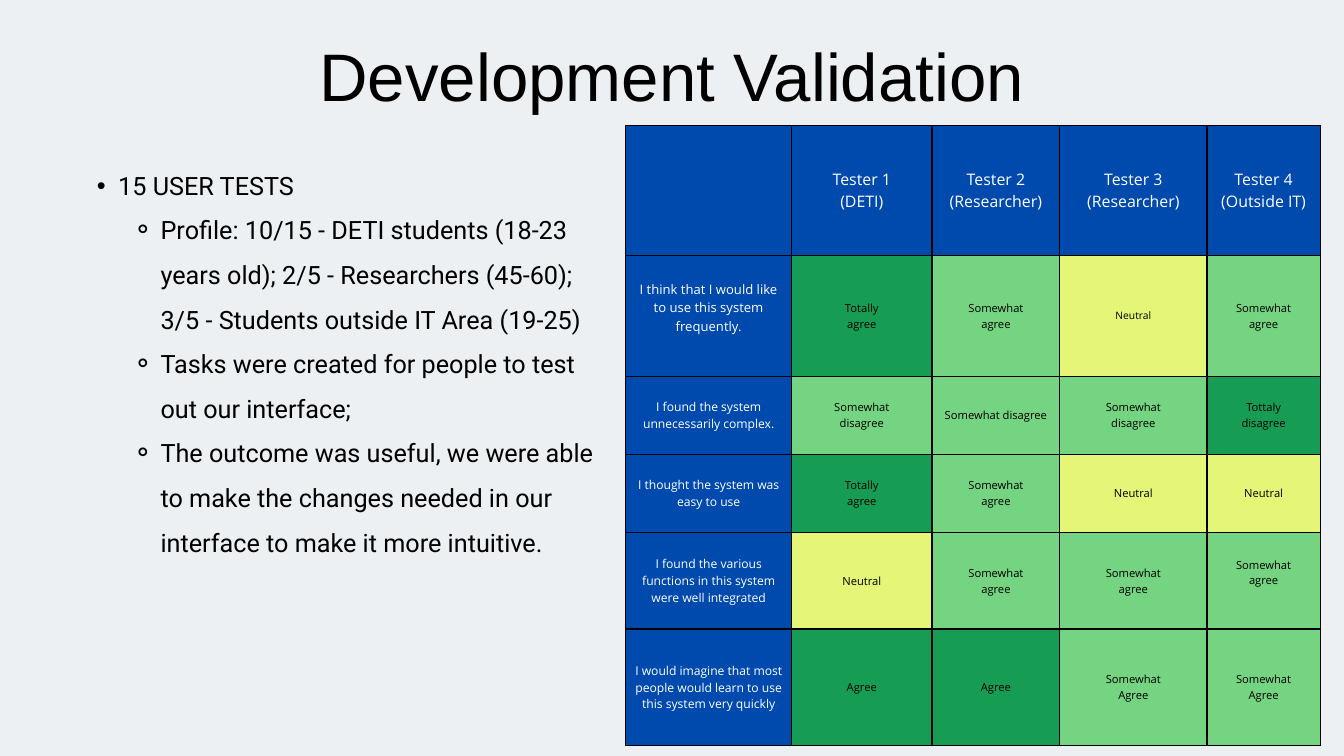
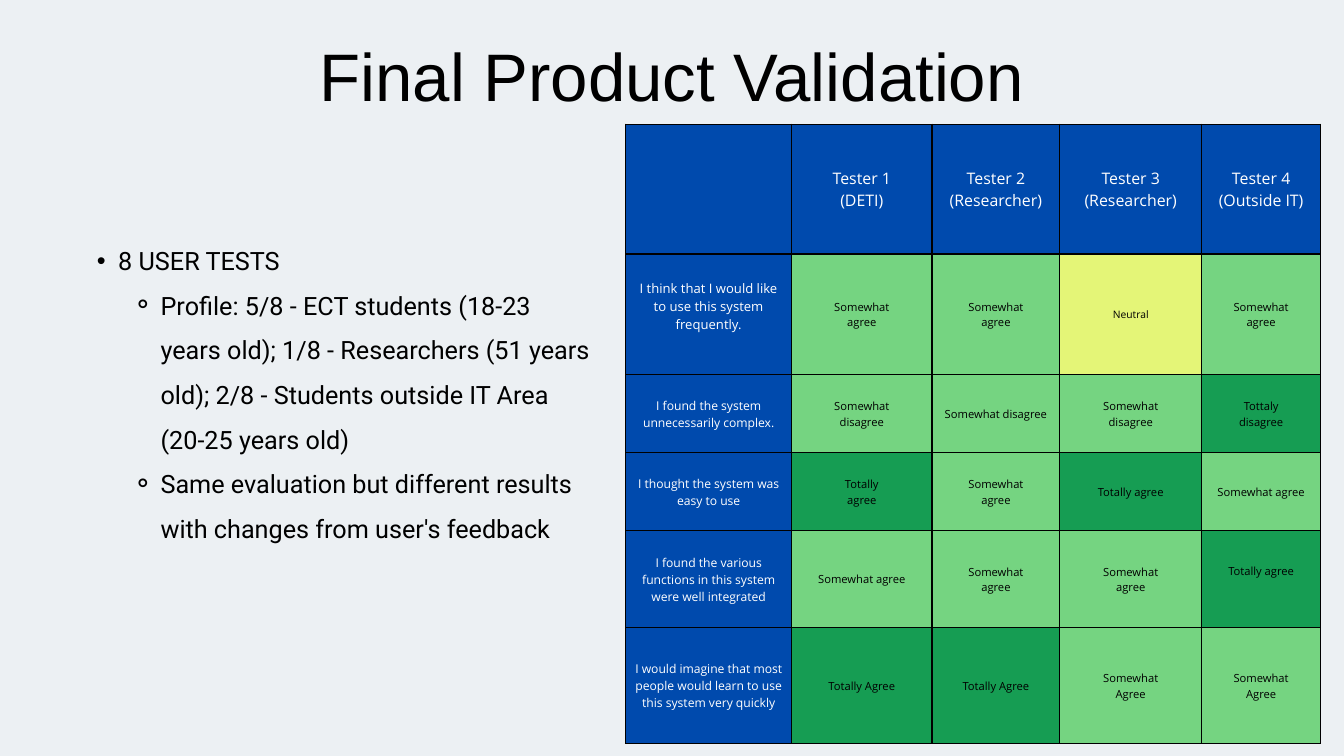
from dataclasses import dataclass

from lxml.etree import SubElement
from pptx import Presentation
from pptx.dml.color import RGBColor
from pptx.enum.text import MSO_ANCHOR, MSO_AUTO_SIZE, PP_ALIGN
from pptx.oxml.ns import qn
from pptx.util import Cm, Pt

# Shared colours
PAPER = RGBColor(0xEC, 0xF0, 0xF3)
BLACK = RGBColor(0, 0, 0)
WHITE = RGBColor(0xFF, 0xFF, 0xFF)
BLUE = RGBColor(0x00, 0x4A, 0xAD)
STRONG_GREEN = RGBColor(0x16, 0x9D, 0x53)
SOFT_GREEN = RGBColor(0x75, 0xD4, 0x81)
YELLOW = RGBColor(0xE4, 0xF5, 0x77)
ANSWER_FILLS = {"Somewhat": SOFT_GREEN, "Neutral": YELLOW}

# Shared table layout and headings
ROW_HEIGHTS = (4.9, 4.57, 2.95, 2.95, 3.66, 4.39)
FIRST_COLUMNS = (6.27, 5.31, 4.83)
CELL_MARGIN = 0.3
RAISED_MARGIN = 0.91
RAISED_CELLS = {(1, 0), (4, 4)}
TABLE_LEADING = 1.4
TESTERS = (
    "",
    "Tester 1\n(DETI)",
    "Tester 2\n(Researcher)",
    "Tester 3\n(Researcher)",
    "Tester 4\n(Outside IT)",
)
QUESTIONS = (
    "I think that I would like to use this system frequently.",
    "I found the system unnecessarily complex.",
    "I thought the system was easy to use",
    "I found the various functions in this system were well integrated",
    "I would imagine that most people would learn to use this system very quickly",
)

# Answers that recur
SOMEWHAT_AGREE = "Somewhat\nagree"
SOMEWHAT_AGREE_CAPITAL = "Somewhat\nAgree"
SOMEWHAT_DISAGREE = "Somewhat\ndisagree"
TOTALLY_AGREE = "Totally\nagree"
COMPLEXITY_ANSWERS = (SOMEWHAT_DISAGREE, "Somewhat disagree", SOMEWHAT_DISAGREE,
                      "Tottaly\ndisagree")


@dataclass(frozen=True)
class TextStyle:
    font: str
    size: float
    color: RGBColor
    leading: float


@dataclass(frozen=True)
class Bullet:
    mark: str
    indent: float
    hanging: float


@dataclass(frozen=True)
class Validation:
    title: str
    tests: str
    findings: tuple[str, ...]
    list_top: float
    list_height: float
    table_top: float
    last_columns: tuple[float, float]
    answers: tuple[tuple[str, ...], ...]


TITLE_STYLE = TextStyle("Arial", 72, BLACK, 84.2)
LIST_STYLE = TextStyle("Roboto", 27, BLACK, 47.8)
BULLETS = {1: Bullet("•", 1.63, 0.81), 2: Bullet("⚬", 3.23, 1.07)}

VALIDATIONS = (
    Validation(
        "Development Validation",
        "15 USER TESTS",
        (
            "Profile: 10/15 - DETI students (18-23 years old); 2/5 - Researchers (45-60); "
            "3/5 - Students outside IT Area (19-25)",
            "Tasks were created for people to test out our interface;",
            "The outcome was useful, we were able to make the changes needed in our "
            "interface to make it more intuitive.",
        ),
        5.89, 19.89, 4.75, (5.56, 4.29),
        (
            (TOTALLY_AGREE, SOMEWHAT_AGREE, "Neutral", SOMEWHAT_AGREE),
            COMPLEXITY_ANSWERS,
            (TOTALLY_AGREE, SOMEWHAT_AGREE, "Neutral", "Neutral"),
            ("Neutral",) + (SOMEWHAT_AGREE,) * 3,
            ("Agree",) * 2 + (SOMEWHAT_AGREE_CAPITAL,) * 2,
        ),
    ),
    Validation(
        "Final Product Validation",
        "8 USER TESTS",
        (
            "Profile: 5/8 - ECT students (18-23 years old); 1/8 - Researchers (51 years old); "
            "2/8 - Students outside IT Area (20-25 years old)",
            "Same evaluation but different results with changes from user's feedback",
        ),
        8.74, 14.88, 4.7, (5.36, 4.5),
        (
            (SOMEWHAT_AGREE, SOMEWHAT_AGREE, "Neutral", SOMEWHAT_AGREE),
            COMPLEXITY_ANSWERS,
            (TOTALLY_AGREE, SOMEWHAT_AGREE, "Totally agree", "Somewhat agree"),
            ("Somewhat agree", SOMEWHAT_AGREE, SOMEWHAT_AGREE, "Totally agree"),
            ("Totally Agree",) * 2 + (SOMEWHAT_AGREE_CAPITAL,) * 2,
        ),
    ),
)


def set_attributes(target, values: dict) -> None:
    for name, value in values.items():
        setattr(target, name, value)


def write(para, text: str, style: TextStyle) -> None:
    para.line_spacing = Pt(style.leading)
    span = para.add_run()
    span.text = text
    set_attributes(span.font, {"name": style.font, "size": Pt(style.size), "bold": False})
    span.font.color.rgb = style.color


def add_box(page, left: float, top: float, width: float, height: float):
    box = page.shapes.add_textbox(Cm(left), Cm(top), Cm(width), Cm(height))
    margins = {f"margin_{side}": 0 for side in ("left", "top", "right", "bottom")}
    set_attributes(box.text_frame, margins | {
        "word_wrap": True, "auto_size": MSO_AUTO_SIZE.SHAPE_TO_FIT_TEXT})
    return box.text_frame


def add_title(page, title: str) -> None:
    para = add_box(page, 9.47, 1.37, 31.85, 2.97).paragraphs[0]
    para.alignment = PP_ALIGN.CENTER
    write(para, title, TITLE_STYLE)


def add_bullet(para, level: int) -> None:
    bullet = BULLETS[level]
    para.level = level
    properties = para._p.get_or_add_pPr()
    properties.set("marL", str(Cm(bullet.indent)))
    properties.set("indent", str(-Cm(bullet.hanging)))
    SubElement(properties, qn("a:buFont"), typeface="Arial")
    SubElement(properties, qn("a:buChar"), char=bullet.mark)


def add_findings(page, validation: Validation) -> None:
    frame = add_box(page, 2.84, validation.list_top, 19.61, validation.list_height)
    for index, text in enumerate((validation.tests, *validation.findings)):
        para = frame.add_paragraph() if index else frame.paragraphs[0]
        add_bullet(para, 2 if index else 1)
        write(para, text, LIST_STYLE)


def add_borders(cell) -> None:
    properties = cell._tc.get_or_add_tcPr()
    for side in ("lnL", "lnR", "lnT", "lnB"):
        line = SubElement(properties, qn(f"a:{side}"), w=str(Pt(1.5)))
        fill = SubElement(line, qn("a:solidFill"))
        SubElement(fill, qn("a:srgbClr"), val=str(BLACK))


def cell_format(row: int, column: int, text: str) -> tuple[RGBColor, RGBColor, float]:
    """Return the fill, text colour and text size of a table cell."""
    if row == 0:
        return BLUE, WHITE, 17
    if column == 0:
        return BLUE, WHITE, 14 if row == 1 else 13
    fill = ANSWER_FILLS.get(text.split()[0], STRONG_GREEN)
    return fill, BLACK, 11 if row == 1 and text == "Neutral" else 12


def fill_cell(cell, row: int, column: int, text: str) -> None:
    fill, color, size = cell_format(row, column, text)
    bottom = RAISED_MARGIN if (row, column) in RAISED_CELLS else CELL_MARGIN
    margins = {f"margin_{side}": Cm(CELL_MARGIN) for side in ("left", "top", "right")}
    set_attributes(cell, margins | {
        "margin_bottom": Cm(bottom), "vertical_anchor": MSO_ANCHOR.MIDDLE})
    add_borders(cell)
    cell.fill.solid()
    cell.fill.fore_color.rgb = fill
    style = TextStyle("Open Sans", size, color, round(size * TABLE_LEADING, 1))
    for index, line in enumerate(text.splitlines()):
        para = cell.text_frame.add_paragraph() if index else cell.text_frame.paragraphs[0]
        para.alignment = PP_ALIGN.CENTER
        write(para, line, style)


def add_answers(page, validation: Validation) -> None:
    widths = FIRST_COLUMNS + validation.last_columns
    frame = page.shapes.add_table(
        len(ROW_HEIGHTS), len(widths), Cm(23.65), Cm(validation.table_top),
        Cm(sum(widths)), Cm(sum(ROW_HEIGHTS)))
    table = frame.table
    set_attributes(table, {"first_row": False, "horz_banding": False})
    for column, width in zip(table.columns, widths):
        column.width = Cm(width)
    for row, height in zip(table.rows, ROW_HEIGHTS):
        row.height = Cm(height)
    body = [(question, *answers) for question, answers in zip(QUESTIONS, validation.answers)]
    for row, texts in enumerate([TESTERS, *body]):
        for column, text in enumerate(texts):
            fill_cell(table.cell(row, column), row, column, text)


def add_page(deck, validation: Validation) -> None:
    page = deck.slides.add_slide(deck.slide_layouts[6])
    page.background.fill.solid()
    page.background.fill.fore_color.rgb = PAPER
    add_title(page, validation.title)
    add_findings(page, validation)
    add_answers(page, validation)


def main() -> None:
    deck = Presentation()
    set_attributes(deck, {"slide_width": Cm(50.8), "slide_height": Cm(28.58)})
    for validation in VALIDATIONS:
        add_page(deck, validation)
    deck.save("out.pptx")


if __name__ == "__main__":
    main()
